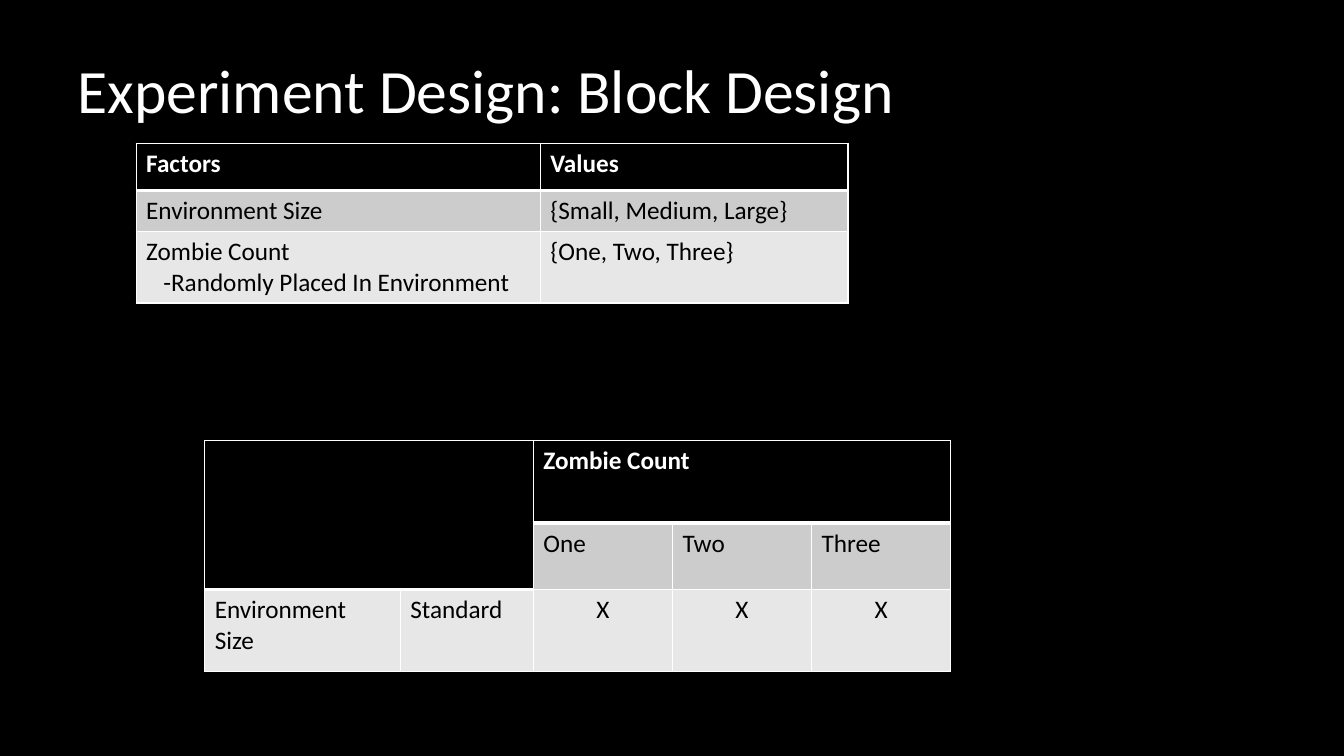
from pptx import Presentation
from pptx.dml.color import RGBColor
from pptx.enum.text import MSO_ANCHOR as Anchor, PP_ALIGN as Align
from pptx.oxml import parse_xml
from pptx.oxml.ns import nsdecls
from pptx.util import Inches, Pt

COLORS = {"black": "000000", "white": "FFFFFF", "dark_band": "CCCCCC", "light_band": "E7E7E7"}
FONT = "Calibri"
TITLE_ONLY = 5
THIN, THICK = 1, 3


def color(name):
    """Return a palette colour."""
    return RGBColor.from_string(COLORS[name])


def style_text(frame, size, color_name, bold=False, align=Align.LEFT):
    """Format every paragraph and run of a text frame."""
    for para in frame.paragraphs:
        para.alignment = align
        for span in para.runs:
            span.font.name = FONT
            span.font.size = Pt(size)
            span.font.bold = bold
            span.font.color.rgb = color(color_name)


def add_title(page, text):
    """Place and format the title placeholder."""
    box = page.shapes.title
    box.left, box.top, box.width, box.height = map(Inches, (0.67, 0.2, 11.5, 1.45))
    frame = box.text_frame
    frame.text = text
    frame.word_wrap = True
    frame.vertical_anchor = Anchor.MIDDLE
    frame.paragraphs[0].line_spacing = 0.9
    style_text(frame, 44, "white")


def set_borders(cell, top, bottom):
    """Draw white cell edges, with the given top and bottom widths."""
    widths = {"L": THIN, "R": THIN, "T": top, "B": bottom}
    properties = cell._tc.get_or_add_tcPr()
    for position, (side, width) in enumerate(widths.items()):
        line = parse_xml(
            f'<a:ln{side} {nsdecls("a")} w="{Pt(width)}"><a:solidFill>'
            f'<a:srgbClr val="{COLORS["white"]}"/></a:solidFill></a:ln{side}>')
        properties.insert(position, line)


def add_table(page, left, top, widths, heights, rows, header_depths):
    """Add a banded table; header_depths gives the header rows of each column."""
    frame = page.shapes.add_table(
        len(heights), len(widths), Inches(left), Inches(top),
        Inches(sum(widths)), Inches(sum(heights)))
    table = frame.table
    for column, width in zip(table.columns, widths):
        column.width = Inches(width)
    for row, height in zip(table.rows, heights):
        row.height = Inches(height)
    for r, texts in enumerate(rows):
        for c, (text, depth) in enumerate(zip(texts, header_depths)):
            cell = table.cell(r, c)
            header = r < depth
            cell.text_frame.text = text
            style_text(cell.text_frame, 18, "white" if header else "black", bold=header,
                       align=Align.CENTER if text == "X" else Align.LEFT)
            cell.fill.solid()
            band = "dark_band" if r % 2 else "light_band"
            cell.fill.fore_color.rgb = color("black" if header else band)
            set_borders(cell, THICK if r == depth else THIN, THICK if header else THIN)
    return table


def add_factor_table(page):
    """Add the table of factors and their values."""
    rows = [
        ("Factors", "Values"),
        ("Environment Size", "{Small, Medium, Large}"),
        ("Zombie Count\n-Randomly Placed In Environment", "{One, Two, Three}"),
    ]
    table = add_table(page, 1.35, 1.42, [4.01, 3.05], [0.47, 0.4, 0.7], rows, [1, 1])
    note = table.cell(2, 0).text_frame.paragraphs[1]
    note._p.get_or_add_pPr().set("marL", str(Inches(0.17)))


def add_block_table(page):
    """Add the block design grid with its merged headers."""
    rows = [
        ("", "", "Zombie Count", "", ""),
        ("", "", "One", "Two", "Three"),
        ("Environment Size", "Standard", "X", "X", "X"),
    ]
    table = add_table(page, 2.03, 4.37, [1.94, 1.32] + [1.38] * 3,
                      [0.82, 0.66, 0.81], rows, [2, 2, 1, 1, 1])
    table.cell(0, 0).merge(table.cell(1, 1))
    table.cell(0, 2).merge(table.cell(0, 4))


def main():
    """Build and save the slide."""
    deck = Presentation()
    deck.slide_width, deck.slide_height = Inches(13.33), Inches(7.5)
    page = deck.slides.add_slide(deck.slide_layouts[TITLE_ONLY])
    page.background.fill.solid()
    page.background.fill.fore_color.rgb = color("black")
    add_title(page, "Experiment Design: Block Design")
    add_factor_table(page)
    add_block_table(page)
    deck.save("out.pptx")


main()
